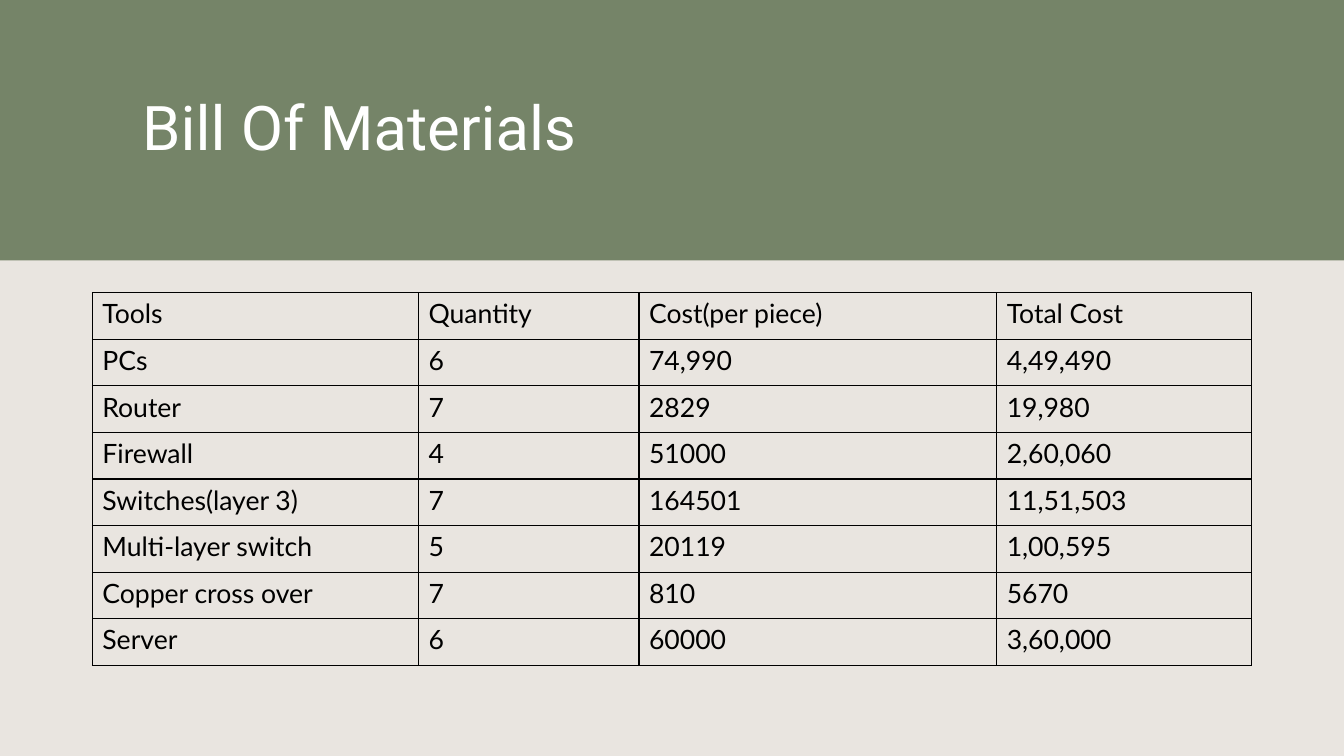
from dataclasses import dataclass

from lxml import etree
from pptx import Presentation
from pptx.dml.color import RGBColor
from pptx.enum import shapes, text
from pptx.oxml import ns
from pptx.util import Pt


@dataclass(frozen=True)
class Theme:
    white: str = "FFFFFF"
    black: str = "000000"
    sand: str = "E0DAD4"
    green: str = "758468"
    title_font: str = "Roboto"
    body_font: str = "Lato"
    title_size: float = 44
    body_size: float = 19
    border: float = 1


THEME = Theme()
SLIDE_W, SLIDE_H = 960, 540
BAND_H = 186
COL_WIDTHS = (233, 157.5, 255.5, 182)
ROW_H = 33.3
MATERIALS = (
    ("Tools", "Quantity", "Cost(per piece)", "Total Cost"),
    ("PCs", "6", "74,990", "4,49,490"),
    ("Router", "7", "2829", "19,980"),
    ("Firewall", "4", "51000", "2,60,060"),
    ("Switches(layer 3)", "7", "164501", "11,51,503"),
    ("Multi-layer switch", "5", "20119", "1,00,595"),
    ("Copper cross over", "7", "810", "5670"),
    ("Server", "6", "60000", "3,60,000"),
)


def format_text(tf, font, size, color):
    for p in tf.paragraphs:
        for r in p.runs:
            r.font.name = font
            r.font.size = Pt(size)
            r.font.color.rgb = RGBColor.from_string(color)


def add_band(s, height, color, opacity=100):
    sp = s.shapes.add_shape(
        shapes.MSO_SHAPE.RECTANGLE, 0, 0, Pt(SLIDE_W), Pt(height))
    sp.shadow.inherit = False
    sp.line.fill.background()
    sp.fill.solid()
    sp.fill.fore_color.rgb = RGBColor.from_string(color)
    if opacity < 100:
        clr = sp.fill._xPr.find(".//" + ns.qn("a:srgbClr"))
        etree.SubElement(clr, ns.qn("a:alpha"), val=str(opacity * 1000))


def add_title(s, title):
    sp = s.shapes.add_textbox(Pt(94.5), Pt(30), Pt(787.5), Pt(126))
    tf = sp.text_frame
    tf.word_wrap = True
    tf.vertical_anchor = text.MSO_ANCHOR.MIDDLE
    tf.text = title
    tf.paragraphs[0].line_spacing = 0.9
    format_text(tf, THEME.title_font, THEME.title_size, THEME.white)


def set_borders(cell):
    tc_pr = cell._tc.get_or_add_tcPr()
    for side in ("lnL", "lnR", "lnT", "lnB"):
        ln = etree.SubElement(
            tc_pr, ns.qn("a:" + side), w=str(Pt(THEME.border)))
        fill = etree.SubElement(ln, ns.qn("a:solidFill"))
        etree.SubElement(fill, ns.qn("a:srgbClr"), val=THEME.black)


def add_grid(s, rows, left, top):
    frame = s.shapes.add_table(
        len(rows), len(COL_WIDTHS), Pt(left), Pt(top),
        Pt(sum(COL_WIDTHS)), Pt(ROW_H * len(rows)))
    table = frame.table
    table.first_row = False
    table.horz_banding = False
    for column, width in zip(table.columns, COL_WIDTHS):
        column.width = Pt(width)
    for row, values in zip(table.rows, rows):
        row.height = Pt(ROW_H)
        for cell, value in zip(row.cells, values):
            cell.text_frame.text = value
            format_text(
                cell.text_frame, THEME.body_font, THEME.body_size, THEME.black)
            set_borders(cell)
            cell.fill.background()


def main():
    prs = Presentation()
    prs.slide_width, prs.slide_height = Pt(SLIDE_W), Pt(SLIDE_H)
    s = prs.slides.add_slide(prs.slide_layouts[6])
    add_band(s, SLIDE_H, THEME.white)
    add_band(s, SLIDE_H, THEME.sand, opacity=70)
    add_band(s, BAND_H, THEME.green)
    add_title(s, "Bill Of Materials")
    add_grid(s, MATERIALS, 66, 209)
    prs.save("out.pptx")


if __name__ == "__main__":
    main()
